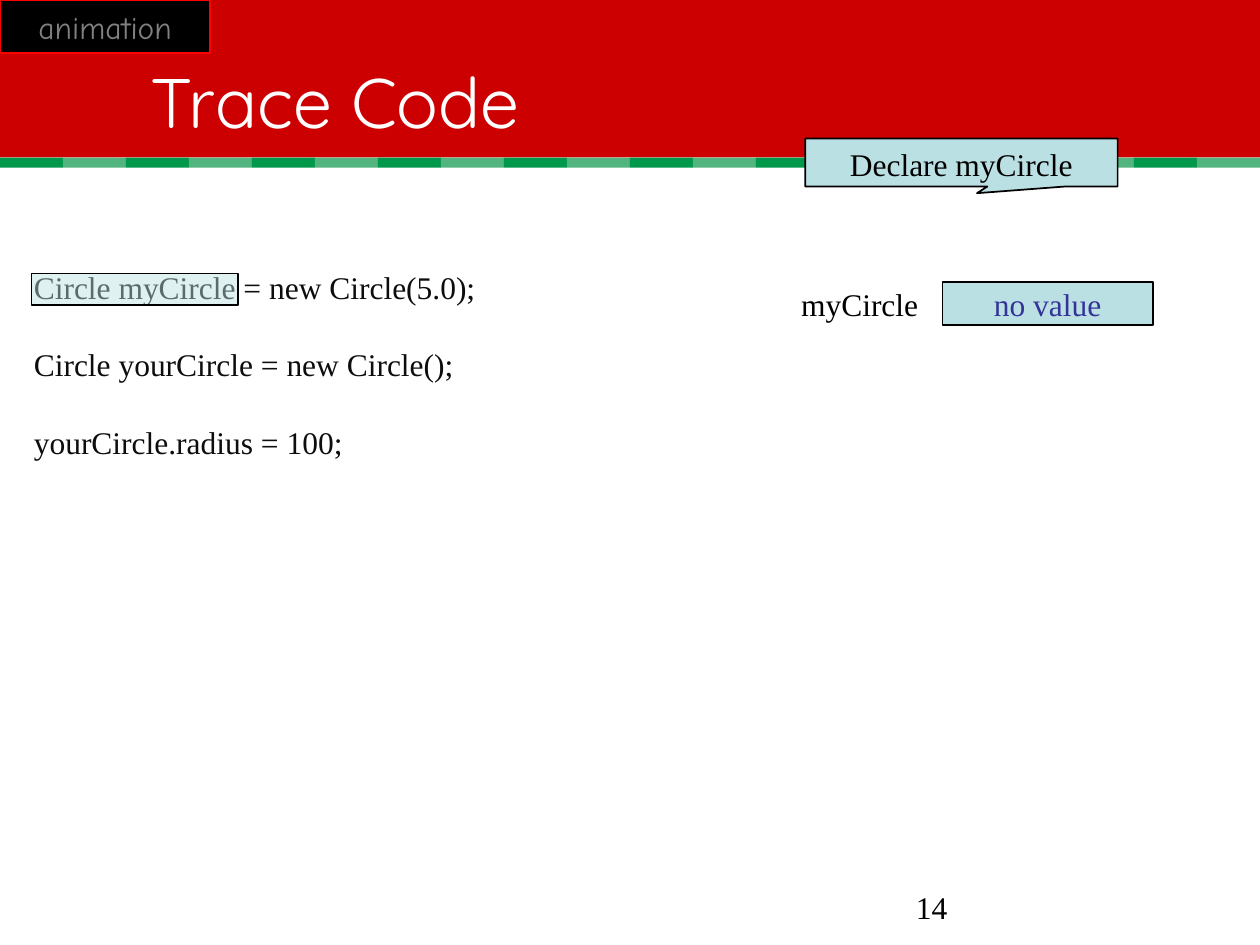
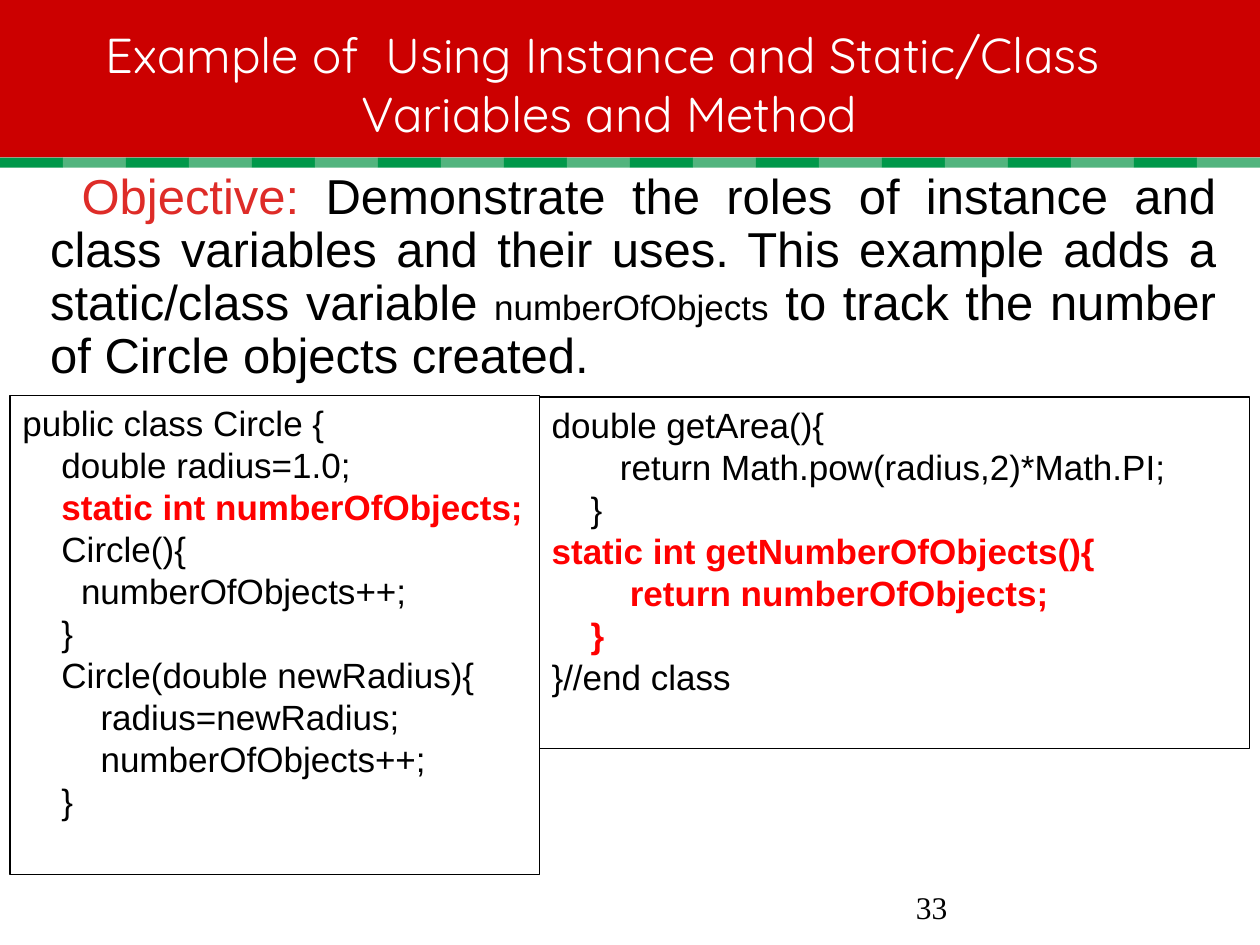
from lxml import etree
from pptx import Presentation
from pptx.dml.color import RGBColor
from pptx.enum.shapes import MSO_SHAPE as Preset
from pptx.enum.text import MSO_ANCHOR as Anchor, PP_ALIGN as Align
from pptx.oxml.ns import qn
from pptx.util import Inches, Pt

COLORS = {
    "band": "CC0000", "dark_stripe": "00984A", "light_stripe": "52B47E",
    "white": "FFFFFF", "black": "000000", "code": "0D0D0D",
    "pale": "BBE0E3", "value": "333399", "grey": "808080",
    "red": "FF0000", "objective": "DE2C28",
}
SERIF, SANS, TITLE, COMIC = "Times New Roman", "Arial", "Quicksand", "Comic Neue"
SLIDE_W, SLIDE_H = 10, 7.5
BAND_H, STRIPE_W, STRIPE_H = 1.25, 0.5, 0.08
COLUMN_W = 0.31 / 4  # one character column of indented 20 pt code


def color(key):
    return RGBColor.from_string(COLORS[key])


def place(box, left, top, width, height):
    """Offset a part from the top left corner of its region."""
    return box[0] + left, box[1] + top, width, height


def add_box(slide, box, fill=None, line=None, line_width=1, preset=Preset.RECTANGLE):
    shape = slide.shapes.add_shape(preset, *map(Inches, box))
    shape.shadow.inherit = False
    if fill:
        shape.fill.solid()
        shape.fill.fore_color.rgb = color(fill)
    else:
        shape.fill.background()
    if line:
        shape.line.color.rgb = color(line)
        shape.line.width = Pt(line_width)
    else:
        shape.line.fill.background()
    return shape


def add_text_box(slide, box):
    return slide.shapes.add_textbox(*map(Inches, box))


def set_frame(shape, anchor=Anchor.TOP, inset_x=0.1, inset_y=0.05):
    frame = shape.text_frame
    frame.word_wrap = True
    frame.vertical_anchor = anchor
    frame.margin_left = frame.margin_right = Inches(inset_x)
    frame.margin_top = frame.margin_bottom = Inches(inset_y)
    return frame


def add_run(paragraph, text, size=18, font=SERIF, ink="black", bold=False):
    for number, part in enumerate(text.split("\n")):
        if number:
            paragraph.add_line_break()
        run = paragraph.add_run()
        run.text = part
        run.font.size, run.font.name, run.font.bold = Pt(size), font, bold
        run.font.color.rgb = color(ink)


def write(shape, text, align=Align.LEFT, anchor=Anchor.TOP, inset=None, **style):
    insets = {} if inset is None else {"inset_x": inset, "inset_y": inset}
    paragraph = set_frame(shape, anchor, **insets).paragraphs[0]
    paragraph.alignment = align
    add_run(paragraph, text, **style)


def paragraphs_for(frame, items):
    """Pair each item with a paragraph of its own."""
    for number, item in enumerate(items):
        yield (frame.add_paragraph() if number else frame.paragraphs[0]), item


def indent(paragraph, left, first=0):
    properties = paragraph._p.get_or_add_pPr()
    properties.set("marL", str(Inches(left)))
    properties.set("indent", str(Inches(first)))


def set_opacity(shape, percent):
    rgb = shape.fill._xPr.find(qn("a:solidFill"))[0]
    etree.SubElement(rgb, qn("a:alpha")).set("val", str(percent * 1000))


# Shared band, stripes, title and page number
def add_header(slide, box):
    add_box(slide, box, fill="band")
    for number in range(int(SLIDE_W / STRIPE_W)):
        stripe = place(box, number * STRIPE_W, BAND_H, STRIPE_W, STRIPE_H)
        add_box(slide, stripe, fill="light_stripe" if number % 2 else "dark_stripe")


def add_page_number(slide, box, number):
    write(add_text_box(slide, box), str(number))


def start_slide(deck, title, title_box, page, title_size, align=Align.LEFT):
    slide = deck.slides.add_slide(deck.slide_layouts[6])
    add_header(slide, (0, 0, SLIDE_W, BAND_H))
    add_page_number(slide, (7.17, 7, 2.08, 0.5), page)
    write(add_text_box(slide, title_box), title, align=align, anchor=Anchor.MIDDLE,
          size=title_size, font=TITLE, ink="white")
    return slide


# Traced statements with the current one highlighted
def add_statements(slide, box, statements):
    frame = set_frame(add_box(slide, box, fill="white"))
    for paragraph, statement in paragraphs_for(frame, statements):
        paragraph.alignment = Align.LEFT
        paragraph.space_after = Pt(22.5)
        add_run(paragraph, statement, ink="code")
    highlight = add_box(slide, place(box, 0.08, 0.09, 1.64, 0.25), fill="pale", line="black")
    set_opacity(highlight, 45)


# Memory state: callout, variable name and its value
def add_memory(slide, box, step, variable, value):
    callout = add_box(slide, place(box, 0.13, 0, 2.48, 0.38), fill="pale", line="black",
                      preset=Preset.ROUNDED_RECTANGULAR_CALLOUT)
    for number, adjustment in enumerate((0.05, 0.64, 0)):
        callout.adjustments[number] = adjustment
    write(callout, step, align=Align.CENTER)
    value_box = add_box(slide, place(box, 1.22, 1.14, 1.67, 0.34), fill="pale", line="black")
    write(value_box, value, align=Align.CENTER, anchor=Anchor.MIDDLE, inset=0.01, ink="value")
    write(add_text_box(slide, place(box, 0, 1.11, 1.24, 0.4)), variable)


def add_animation_tag(slide, box):
    write(add_box(slide, box, fill="black", line="red"), "animation", align=Align.CENTER,
          anchor=Anchor.MIDDLE, font=COMIC, ink="grey")


# Objective paragraph
def add_objective(slide, box):
    paragraph = set_frame(add_text_box(slide, box)).paragraphs[0]
    paragraph.alignment = Align.JUSTIFY
    paragraph.line_spacing = 0.9
    indent(paragraph, 0.38, 0.25)
    for text, size, ink in (
        ("Objective: ", 28, "objective"),
        ("Demonstrate the roles of instance and class variables and their uses. "
         "This example adds a static/class variable ", 28, "black"),
        ("numberOfObjects", 20, "black"),
        (" to track the number of Circle objects created.", 28, "black"),
    ):
        add_run(paragraph, text, size=size, font=SANS, ink=ink)


# Framed code; each line is (indent columns, text, is static)
def add_code(slide, box, lines):
    frame = set_frame(add_box(slide, box, line="black", line_width=0.75))
    for paragraph, (columns, text, is_static) in paragraphs_for(frame, lines):
        paragraph.alignment = Align.LEFT
        indent(paragraph, columns * COLUMN_W)
        add_run(paragraph, text, size=20, font=SANS,
                ink="red" if is_static else "black", bold=is_static)


def build_trace_slide(deck):
    slide = start_slide(deck, "Trace Code", (1.1, 0.46, 8.5, 0.67), 14, 40)
    add_statements(slide, (0.17, 2.08, 5.25, 1.6), (
        "Circle myCircle = new Circle(5.0);",
        "Circle yourCircle = new Circle();",
        "yourCircle.radius = 100;",
    ))
    add_memory(slide, (6.26, 1.1, 2.89, 1.51), "Declare myCircle", "myCircle", "no value")
    add_animation_tag(slide, (0, 0, 1.67, 0.42))


def build_static_slide(deck):
    slide = start_slide(
        deck, "Example of  Using Instance and Static/Class \nVariables and Method",
        (0, 0.01, 9.67, 1.31), 33, 28, Align.CENTER)
    add_objective(slide, (-0.08, 1.32, 9.83, 2))
    add_code(slide, (0.08, 3.14, 4.2, 3.8), (
        (0, "public class Circle {", False),
        (4, "double radius=1.0;", False),
        (4, "static int numberOfObjects;", True),
        (4, "Circle(){", False),
        (6, "numberOfObjects++;", False),
        (4, "}", False),
        (4, "Circle(double newRadius){", False),
        (8, "radius=newRadius;", False),
        (8, "numberOfObjects++;", False),
        (4, "}", False),
    ))
    add_code(slide, (4.28, 3.15, 5.64, 2.79), (
        (0, "double getArea(){", False),
        (7, "return Math.pow(radius,2)*Math.PI;", False),
        (4, "}", False),
        (0, "static int getNumberOfObjects(){", True),
        (8, "return numberOfObjects;", True),
        (4, "}", True),
        (0, "}//end class", False),
    ))


def main():
    deck = Presentation()
    deck.slide_width, deck.slide_height = Inches(SLIDE_W), Inches(SLIDE_H)
    build_trace_slide(deck)
    build_static_slide(deck)
    deck.save("out.pptx")


if __name__ == "__main__":
    main()
